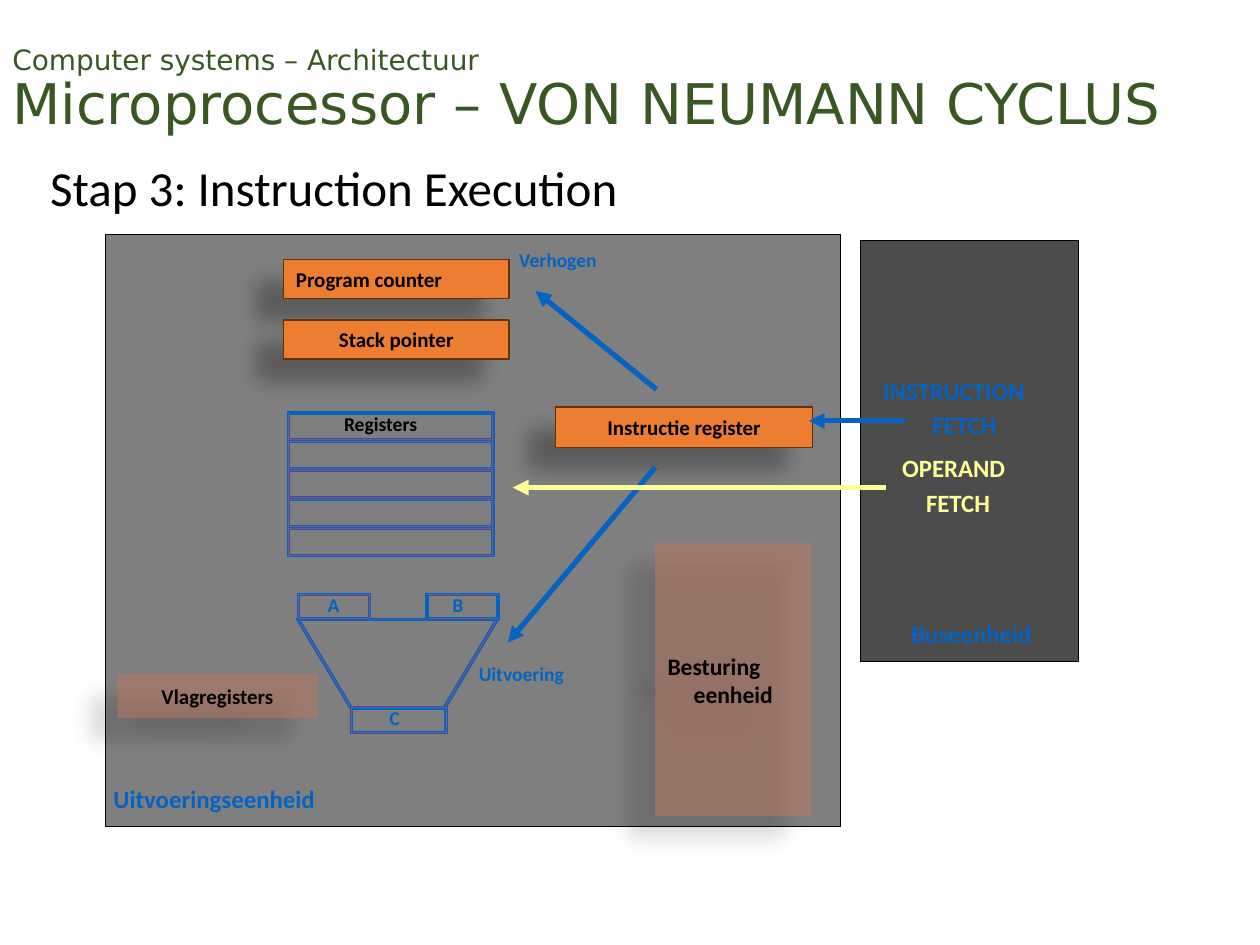
import pptx
import pptx.util
import pptx.dml.color
import pptx.enum.shapes
import pptx.enum.text
import pptx.oxml
import pptx.oxml.ns

Pt = pptx.util.Pt
RGBColor = pptx.dml.color.RGBColor
ALIGN = pptx.enum.text.PP_ALIGN
ANCHOR = pptx.enum.text.MSO_ANCHOR

BLACK = RGBColor(0x00, 0x00, 0x00)
BLUE = RGBColor(0x05, 0x63, 0xC1)
YELLOW = RGBColor(0xFF, 0xFF, 0x99)
PLUM = RGBColor(0x95, 0x4F, 0x72)
ORANGE = RGBColor(0xED, 0x7D, 0x31)
BROWN = RGBColor(0x66, 0x33, 0x00)
CLAY = RGBColor(0xBE, 0x79, 0x60)
GREEN = RGBColor(0x38, 0x57, 0x23)

# Content: frames are (left, top, width, height) in points
TITLE = [("Computer systems – Architectuur", 16), ("Microprocessor – VON NEUMANN CYCLUS", 32)]
STEP = "Stap 3: Instruction Execution"

PANELS = [  # frame, opacity in percent
    ((491.8, 137.5, 124.6, 240.5), 70),
    ((60.5, 133.9, 419.8, 338.4), 50),
]
LEFT, CENTER = ALIGN.LEFT, ALIGN.CENTER
CLAY_UNITS = [  # frame, size, (text, alignment) lines
    ((374.4, 310.4, 89.3, 156.2), 13.5, [("Besturing", LEFT), ("eenheid", CENTER)]),
    ((67, 385.2, 114.5, 25.2), 12, [("Vlagregisters", CENTER)]),
]
ORANGE_UNITS = [
    ((317.5, 232.6, 146.9, 23), 12, [("Instructie register", CENTER)]),
    ((162, 148.3, 128.9, 22.3), 12, [("Program counter", LEFT)]),
    ((162, 182.9, 128.9, 22.3), 12, [("Stack pointer", CENTER)]),
]
LABELS = [  # text, frame, size, colour
    ("INSTRUCTION", (504.7, 214.6, 95, 22.3), 14.2, BLUE),
    ("FETCH", (532.8, 234, 43.2, 22.3), 14.2, BLUE),
    ("OPERAND", (515.5, 258.5, 69.1, 22.3), 14.2, YELLOW),
    ("FETCH", (529.2, 278.6, 43.2, 22.3), 14.2, YELLOW),
    ("Uitvoeringseenheid", (64.8, 447.8, 135.4, 22.3), 14.2, BLUE),
    ("Buseenheid", (520.6, 353.5, 80.6, 22.3), 14.2, BLUE),
    ("Uitvoering", (273.6, 378, 57.6, 17.3), 11.2, BLUE),
    ("Verhogen", (296.6, 141.8, 53.3, 17.3), 11.2, BLUE),
    ("Registers", (196.6, 235.4, 49.7, 17.3), 11.2, BLACK),
    ("A", (187.2, 339.1, 7.9, 17.3), 11.2, BLUE),
    ("B", (258.5, 339.1, 7.2, 17.3), 11.2, BLUE),
    ("C", (222.5, 403.2, 7.2, 17.3), 11.2, BLUE),
]
ARROWS = [  # from, to, colour
    ((375.1, 222.5), (306, 166.3), BLUE),
    ((374.4, 267.1), (290.2, 367.2), BLUE),
    ((517, 240.5), (462.2, 240.5), BLUE),
    ((506.2, 278.6), (293, 278.6), YELLOW),
]
BAND = 1.2  # thickness of the register and ALU outlines
REGISTER_COUNT, REGISTER_TOP, REGISTER_PITCH = 5, 235.4, 16.5
FRAMES = [(164.2, REGISTER_TOP + i * REGISTER_PITCH, 118, 16.5) for i in range(REGISTER_COUNT)]
FRAMES += [
    (169.9, 339.1, 41.8, 15.1),  # A
    (243.4, 339.1, 41.8, 15.1),  # B
    (200.2, 403.9, 55.4, 15.1),  # C
]
ALU_OUTER = [(169.2, 353.5), (285.1, 353.5), (254.5, 405.1), (200.2, 405.1)]
ALU_INNER = [(171.4, 354.5), (201, 403.9), (253.5, 403.9), (283, 354.5)]

deck = pptx.Presentation()
deck.slide_width, deck.slide_height = Pt(720), Pt(540)
page = deck.slides.add_slide(deck.slide_layouts[6])


def points(values):
    return [Pt(value) for value in values]


def add_xml(parent, body):
    parent.append(pptx.oxml.parse_xml(body.replace(">", " " + pptx.oxml.ns.nsdecls("a") + ">", 1)))


def add_span(para, text, size, color, font="Calibri", bold=True):
    span = para.add_run()
    span.text = text
    span.font.size, span.font.name, span.font.bold = Pt(size), font, bold
    span.font.color.rgb = color


def add_text_box(frame, wrap, inset=None):
    text = page.shapes.add_textbox(*points(frame)).text_frame
    text.word_wrap = wrap
    if inset is not None:
        text.margin_left = text.margin_top = text.margin_right = text.margin_bottom = Pt(inset)
    return text


def add_rect(frame, color, opacity=100, line=None, width=0):
    box = page.shapes.add_shape(pptx.enum.shapes.MSO_SHAPE.RECTANGLE, *points(frame))
    box.shadow.inherit = False
    box.fill.solid()
    box.fill.fore_color.rgb = color
    if opacity < 100:
        add_xml(box.fill._xPr.find(".//" + pptx.oxml.ns.qn("a:srgbClr")),
                f'<a:alpha val="{opacity * 1000}"></a:alpha>')
    if line is None:
        box.line.fill.background()
    else:
        box.line.color.rgb = line
        box.line.width = Pt(width)
    return box


def add_unit(frame, size, lines, color, opacity, line):
    box = add_rect(frame, color, opacity, line)
    effects = box._element.spPr.find(pptx.oxml.ns.qn("a:effectLst"))
    add_xml(effects, f'<a:outerShdw blurRad="{Pt(11.8)}" dist="{Pt(19.7)}" dir="{141 * 60000}" '
            'algn="ctr" rotWithShape="0"><a:srgbClr val="000000"><a:alpha val="28000"/>'
            '</a:srgbClr></a:outerShdw>')
    text = box.text_frame
    text.word_wrap = True
    text.vertical_anchor = ANCHOR.MIDDLE
    for index, (words, align) in enumerate(lines):
        para = text.add_paragraph() if index else text.paragraphs[0]
        para.alignment = align
        add_span(para, words, size, BLACK)


def add_outline(outer, inner):
    """Draw a closed band between two contours of opposite direction."""
    builder = page.shapes.build_freeform(*points(outer[0]))
    builder.add_line_segments([points(p) for p in outer[1:]], close=True)
    builder.move_to(*points(inner[0]))
    builder.add_line_segments([points(p) for p in inner[1:]], close=True)
    band = builder.convert_to_shape()
    band.shadow.inherit = False
    band.fill.solid()
    band.fill.fore_color.rgb = PLUM
    band.line.color.rgb = BLUE
    band.line.width = Pt(0.75)


def corners(left, top, width, height):
    right, bottom = left + width, top + height
    return [(left, top), (right, top), (right, bottom), (left, bottom)]


# Step heading
para = add_text_box((21.6, 90, 620.6, 44.6), True).paragraphs[0]
para.line_spacing, para.space_before = 0.9, Pt(10)
add_span(para, STEP, 28, BLACK, bold=False)

# Bus unit and execution unit
for frame, opacity in PANELS:
    add_rect(frame, BLACK, opacity, BLACK, 0.75)

# ALU, its operand boxes and the register stack
add_outline(ALU_OUTER, ALU_INNER)
for left, top, width, height in FRAMES:
    hole = corners(left + BAND, top + BAND, width - 2 * BAND, height - 2 * BAND)
    add_outline(corners(left, top, width, height), hole[::-1])

# Named units
for unit in CLAY_UNITS:
    add_unit(*unit, CLAY, 50, None)
for unit in ORANGE_UNITS:
    add_unit(*unit, ORANGE, 100, BROWN)

# Labels
for words, frame, size, color in LABELS:
    add_span(add_text_box(frame, False, 0).paragraphs[0], words, size, color)

# Arrows
for start, end, color in ARROWS:
    arrow = page.shapes.add_connector(pptx.enum.shapes.MSO_CONNECTOR.STRAIGHT,
                                      *points(start + end))
    arrow.line.color.rgb = color
    arrow.line.width = Pt(3)
    add_xml(arrow.line._get_or_add_ln(), '<a:tailEnd type="triangle"></a:tailEnd>')
    add_xml(arrow._element.spPr, "<a:effectLst></a:effectLst>")

# Title
text = add_text_box((0, 0, 720, 104.4), True)
text.vertical_anchor = ANCHOR.MIDDLE
para = text.paragraphs[0]
para.line_spacing = 0.9
for index, (words, size) in enumerate(TITLE):
    if index:
        para.add_line_break()
    add_span(para, words, size, GREEN, "DejaVu Sans", False)

deck.save("out.pptx")
